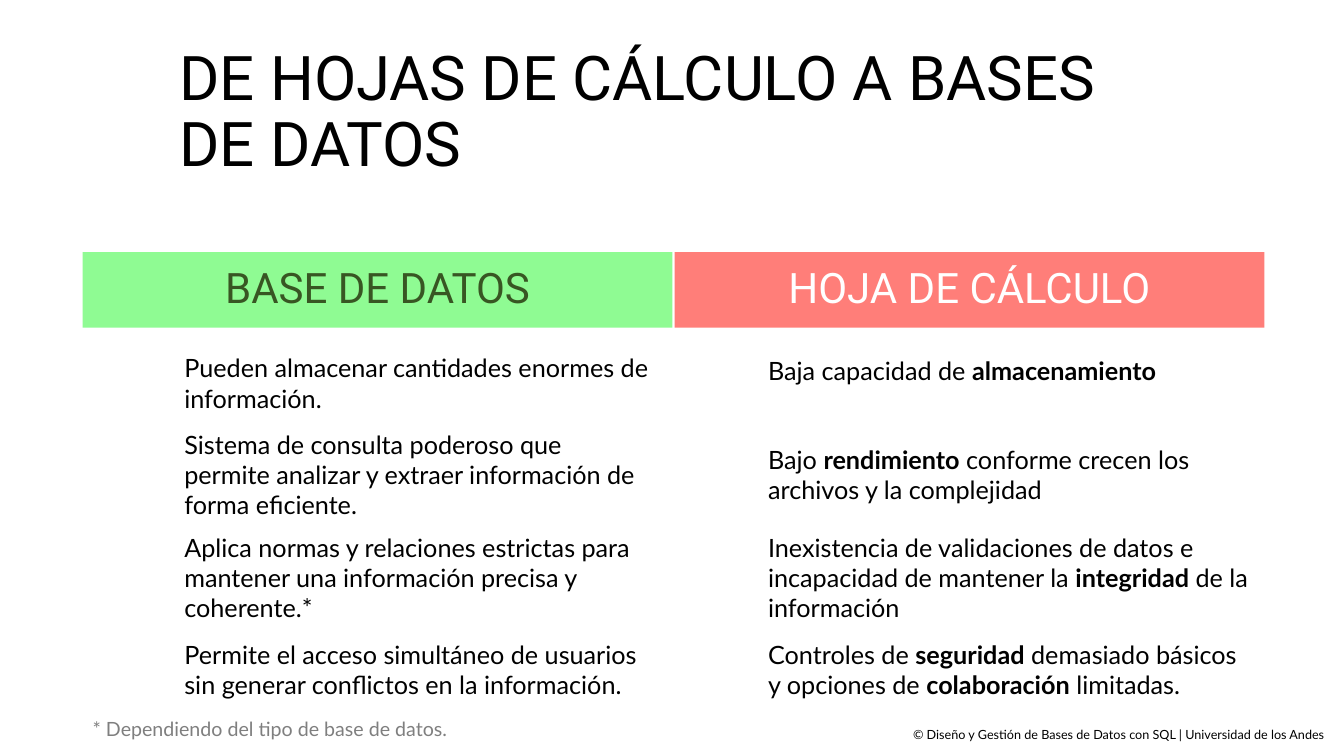
"""Build a slide that compares databases with spreadsheets."""
from lxml import etree
from pptx import Presentation
from pptx.dml.color import RGBColor
from pptx.enum.shapes import MSO_SHAPE
from pptx.enum.text import MSO_ANCHOR, PP_ALIGN
from pptx.oxml.ns import qn
from pptx.util import Inches, Pt

RECT = MSO_SHAPE.RECTANGLE
TOP, MIDDLE = MSO_ANCHOR.TOP, MSO_ANCHOR.MIDDLE
LEFT, CENTER, RIGHT = PP_ALIGN.LEFT, PP_ALIGN.CENTER, PP_ALIGN.RIGHT

TITLE = "DE HOJAS DE CÁLCULO A BASES DE DATOS"
FOOTNOTE = "* Dependiendo del tipo de base de datos."
CREDIT = "© Diseño y Gestión de Bases de Datos con SQL | Universidad de los Andes"

# Each point: top, number of lines, text with bold parts between asterisk pairs.
COLUMNS = [
    {"heading": "BASE DE DATOS", "style": "database", "fill": "73FB79", "alpha": 80,
     "indent": 0.91, "width": 4.85, "points": [
         (3.45, 2, "Pueden almacenar cantidades enormes de información."),
         (4.21, 3, "Sistema de consulta poderoso que permite analizar y extraer "
                   "información de forma eficiente."),
         (5.23, 3, "Aplica normas y relaciones estrictas para mantener una "
                   "información precisa y coherente.*"),
         (6.29, 2, "Permite el acceso simultáneo de usuarios sin generar "
                   "conflictos en la información.")]},
    {"heading": "HOJA DE CÁLCULO", "style": "spreadsheet", "fill": "FF7E79", "alpha": 100,
     "indent": 0.83, "width": 5, "points": [
         (3.48, 1, "Baja capacidad de **almacenamiento**"),
         (4.36, 2, "Bajo **rendimiento** conforme crecen los archivos y la complejidad"),
         (5.23, 3, "Inexistencia de validaciones de datos e incapacidad de mantener "
                   "la **integridad** de la información"),
         (6.29, 2, "Controles de **seguridad** demasiado básicos y opciones de "
                   "**colaboración** limitadas.")]},
]

THEME = {
    "title": {"name": "Roboto", "size": 44, "color": "000000"},
    "database": {"name": "Roboto", "size": 30, "color": "385623"},
    "spreadsheet": {"name": "Roboto", "size": 30, "color": "FFFFFF"},
    "body": {"name": "Lato", "size": 18, "color": "000000"},
    "footnote": {"name": "Lato", "size": 14, "color": "7F7F7F"},
    "credit": {"name": "Lato", "size": 9, "color": "000000"},
}
WIDTH, HEIGHT = 13.33, 7.5
GRID_LEFT, GRID_TOP, BAND_W, BAND_H, GAP = 0.82, 2.5, 5.85, 0.75, 0.02
LINE_H, PAD_X, PAD_Y = 0.3, 0.1, 0.05


def write(sp, text, style, align=LEFT, anchor=TOP, spacing=1.0, pad=(PAD_X, PAD_Y)):
    tf = sp.text_frame
    frame = {"word_wrap": True, "vertical_anchor": anchor,
             "margin_left": Inches(pad[0]), "margin_right": Inches(pad[0]),
             "margin_top": Inches(pad[1]), "margin_bottom": Inches(pad[1])}
    for name, value in frame.items():
        setattr(tf, name, value)
    p = tf.paragraphs[0]
    p.alignment, p.line_spacing = align, spacing
    look = THEME[style]
    for i, part in enumerate(text.split("**")):
        if part:
            r = p.add_run()
            r.text = part
            font = {"name": look["name"], "size": Pt(look["size"]), "bold": i % 2 == 1}
            for name, value in font.items():
                setattr(r.font, name, value)
            r.font.color.rgb = RGBColor.from_string(look["color"])


def add_text(slide, box, text, style, **layout):
    sp = slide.shapes.add_textbox(*map(Inches, box))
    write(sp, text, style, **layout)


def add_band(slide, left, column):
    sp = slide.shapes.add_shape(RECT, *map(Inches, (left, GRID_TOP, BAND_W, BAND_H)))
    sp.shadow.inherit = False
    sp.fill.solid()
    sp.fill.fore_color.rgb = RGBColor.from_string(column["fill"])
    sp.line.fill.background()
    if column["alpha"] < 100:
        color = sp.fill._xPr.find(qn("a:solidFill"))[0]
        etree.SubElement(color, qn("a:alpha"), val=str(column["alpha"] * 1000))
    write(sp, column["heading"], column["style"], align=CENTER, anchor=MIDDLE,
          spacing=0.9, pad=(0.05, 0.02))


def main():
    prs = Presentation()
    prs.slide_width, prs.slide_height = Inches(WIDTH), Inches(HEIGHT)
    slide = prs.slides.add_slide(prs.slide_layouts[5])

    title = slide.shapes.title
    box = {"left": 1.73, "top": 0.4, "width": 9.85, "height": 1.45}
    for name, value in box.items():
        setattr(title, name, Inches(value))
    write(title, TITLE, "title", anchor=MIDDLE, spacing=0.9, pad=(0.05, 0.02))

    for i, column in enumerate(COLUMNS):
        left = GRID_LEFT + i * (BAND_W + GAP)
        add_band(slide, left, column)
        for top, lines, text in column["points"]:
            height = lines * LINE_H + 2 * PAD_Y
            add_text(slide, (left + column["indent"], top, column["width"], height),
                     text, "body")

    add_text(slide, (GRID_LEFT, 7.06, 7.12, 0.34), FOOTNOTE, "footnote")
    add_text(slide, (0.2, 7.19, 12.98, 0.2), CREDIT, "credit", align=RIGHT,
             pad=(0.05, 0.02))
    prs.save("out.pptx")


if __name__ == "__main__":
    main()
